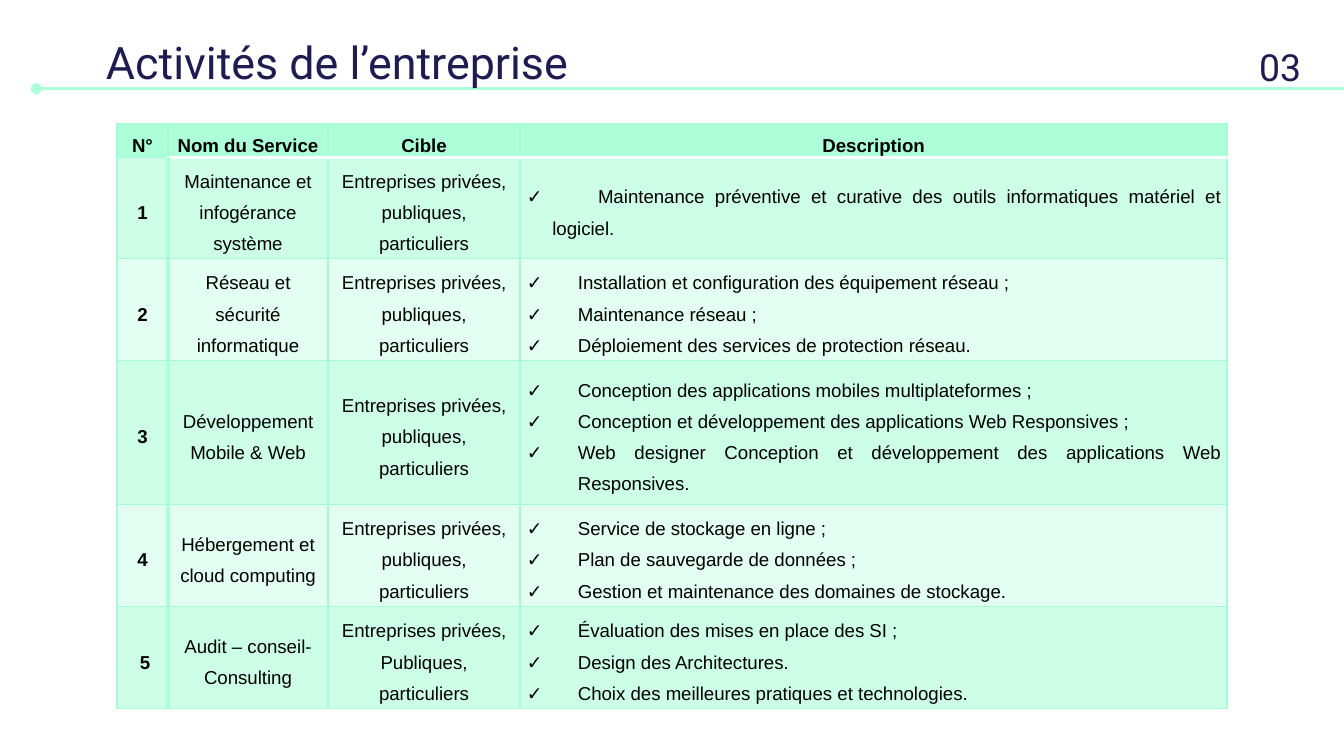
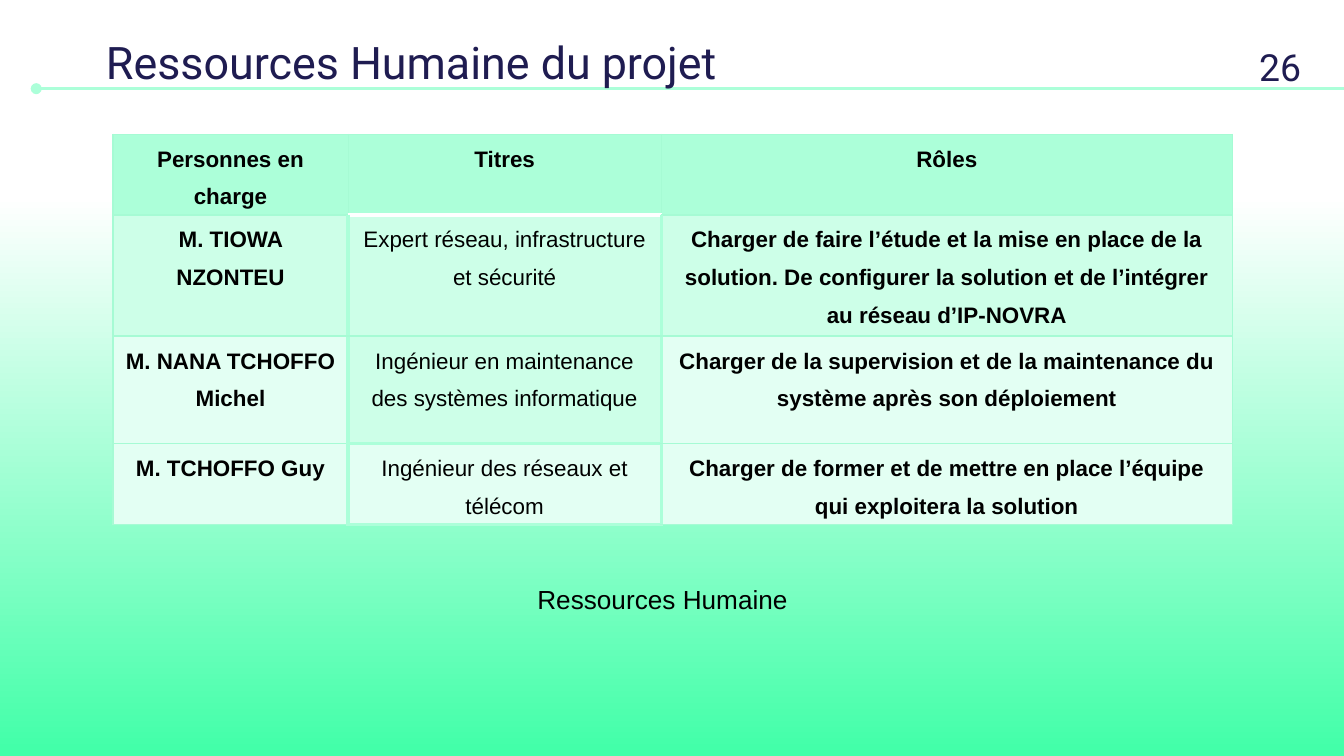
"""Build two slides of service and staff tables in a mint and navy style."""
from lxml import etree
from pptx import Presentation
from pptx.dml.color import RGBColor
from pptx.enum import shapes, text
from pptx.oxml import parse_xml
from pptx.oxml.ns import nsdecls, qn
from pptx.util import Inches, Pt

THEME = {
    "navy": "1F1C51", "black": "000000", "white": "FFFFFF",
    "mint": "ACFFD9", "edge": "A6FBD4", "band": "CDFFE8", "pale": "E3FFF3", "glow": "41FFA8",
    "head_font": "Roboto", "body_font": "Arial",
    "title": 24, "number": 20, "caption": 14, "thin": 0.75, "thick": 2, "rule": 1.5,
}
CENTER, JUSTIFY, LEFT = text.PP_ALIGN.CENTER, text.PP_ALIGN.JUSTIFY, text.PP_ALIGN.LEFT
TOP, MIDDLE, BOTTOM = text.MSO_ANCHOR.TOP, text.MSO_ANCHOR.MIDDLE, text.MSO_ANCHOR.BOTTOM
THICK = (THEME["mint"], THEME["thick"])
WHITE = (THEME["white"], THEME["thick"])
TARGET = "Entreprises privées, publiques, particuliers"

SLIDES = [
    {
        "title": "Activités de l’entreprise", "number": "03",
        "at": (0.87, 0.92), "size": 10, "inset": 0.05, "anchor": MIDDLE,
        "cols": [0.38, 1.19, 1.43, 5.26], "rows": [0.23, 0.75, 0.76, 1.07, 0.76, 0.76],
        "bold_cols": {0}, "pale_cells": {(r, c) for r in (2, 4) for c in range(4)},
        "edges": {**{("v", 1, r): THICK for r in range(1, 6)},
                  **{("h", 1, c): WHITE for c in range(1, 4)}},
        "indents": {(1, 3): 0.19}, "left_cells": {(5, 0): 0.12},
        "cells": [
            ["N°", "Nom du Service", "Cible", "Description"],
            ["1", "Maintenance et infogérance système", TARGET,
             ["\tMaintenance préventive et curative des outils informatiques matériel et logiciel."]],
            ["2", "Réseau et sécurité informatique", TARGET,
             ["Installation et configuration des équipement réseau ;",
              "Maintenance réseau ;",
              "Déploiement des services de protection réseau."]],
            ["3", "Développement Mobile & Web", TARGET,
             ["Conception des applications mobiles multiplateformes ;",
              "Conception et développement des applications Web Responsives ;",
              "Web designer Conception et développement des applications Web Responsives."]],
            ["4", "Hébergement et cloud computing", TARGET,
             ["Service de stockage en ligne ;",
              "Plan de sauvegarde de données ;",
              "Gestion et maintenance des domaines de stockage."]],
            ["5", "Audit – conseil- Consulting", TARGET.replace("publiques", "Publiques"),
             ["Évaluation des mises en place des SI ;",
              "Design des Architectures.",
              "Choix des meilleures pratiques et technologies."]],
        ],
    },
    {
        "title": "Ressources Humaine du projet", "number": "26", "caption": "Ressources Humaine",
        "at": (0.84, 1), "size": 12, "inset": 0.07, "anchor": TOP,
        "cols": [1.75, 2.33, 4.25], "rows": [0.55, 0.8, 0.8, 0.6],
        "bold_cols": {0, 2}, "pale_cells": {(2, 0), (2, 2), (3, 0), (3, 1), (3, 2)},
        "edges": {**{("v", c, r): THICK for c in (1, 2) for r in (1, 2, 3)},
                  ("h", 1, 1): WHITE, ("h", 3, 1): THICK, ("h", 4, 1): THICK},
        "indents": {}, "left_cells": {},
        "cells": [
            ["Personnes en charge", "Titres", "Rôles"],
            ["M. TIOWA NZONTEU", "Expert réseau, infrastructure et sécurité",
             "Charger de faire l’étude et la mise en place de la solution. De configurer "
             "la solution et de l’intégrer au réseau d’IP-NOVRA"],
            ["M. NANA TCHOFFO Michel", "Ingénieur en maintenance des systèmes informatique",
             "Charger de la supervision et de la maintenance du système après son déploiement"],
            ["M. TCHOFFO Guy", "Ingénieur des réseaux et télécom",
             "Charger de former et de mettre en place l’équipe qui exploitera la solution"],
        ],
    },
]


def write(tf, lines, size, color, font, bold=False, **para):
    for i, line in enumerate(lines):
        p = tf.paragraphs[0] if i == 0 else tf.add_paragraph()
        for name, value in para.items():
            setattr(p, name, value)
        r = p.add_run()
        r.text = line
        for name, value in {"name": font, "size": Pt(size), "bold": bold}.items():
            setattr(r.font, name, value)
        r.font.color.rgb = RGBColor.from_string(color)
        end = etree.SubElement(p._p, qn("a:endParaRPr"), sz=str(size * 100))
        etree.SubElement(end, qn("a:latin"), typeface=font)


def label(s, box, line, size, color, font, anchor, inset_y):
    tf = s.shapes.add_textbox(*map(Inches, box)).text_frame
    for name, value in {"word_wrap": True, "vertical_anchor": anchor,
                        "margin_left": Inches(0.1), "margin_right": Inches(0.1),
                        "margin_top": Inches(inset_y), "margin_bottom": Inches(inset_y)}.items():
        setattr(tf, name, value)
    write(tf, [line], size, color, font)


prs = Presentation()
prs.slide_width = Inches(10)
prs.slide_height = prs.slide_width * 9 // 16

for data in SLIDES:
    s = prs.slides.add_slide(prs.slide_layouts[6])
    fill = s.background.fill
    if "caption" in data:
        fill.gradient()
        fill.gradient_angle = 90
        for stop, color, position in zip(fill.gradient_stops, ("glow", "white"), (0, 0.74)):
            stop.color.rgb = RGBColor.from_string(THEME[color])
            stop.position = position
    else:
        fill.solid()
        fill.fore_color.rgb = RGBColor.from_string(THEME["white"])

    rule = s.shapes.add_connector(shapes.MSO_CONNECTOR.STRAIGHT, Inches(0.27), Inches(0.66),
                                  Inches(10.1), Inches(0.66))
    rule.line.color.rgb = RGBColor.from_string(THEME["mint"])
    rule.line.width = Pt(THEME["rule"])
    etree.SubElement(rule.line._get_or_add_ln(), qn("a:headEnd"), type="oval")
    etree.SubElement(rule._element.spPr, qn("a:effectLst"))

    label(s, (0.69, 0.16, 6.65, 0.59), data["title"], THEME["title"], THEME["navy"],
          THEME["head_font"], TOP, 0.1)

    cols, rows = data["cols"], data["rows"]
    table = s.shapes.add_table(len(rows), len(cols), *map(
        Inches, (*data["at"], sum(cols), sum(rows)))).table
    table.first_row = table.horz_banding = False
    for col, width in zip(table.columns, cols):
        col.width = Inches(width)
    for row, height in zip(table.rows, rows):
        row.height = Inches(height)

    for r, line in enumerate(data["cells"]):
        for c, content in enumerate(line):
            cell = table.cell(r, c)
            for name, value in {"margin_left": Inches(data["inset"]),
                                "margin_right": Inches(data["inset"]),
                                "margin_top": 0, "margin_bottom": 0,
                                "vertical_anchor": data["anchor"]}.items():
                setattr(cell, name, value)
            shade = "mint" if r == 0 else "pale" if (r, c) in data["pale_cells"] else "band"
            cell.fill.solid()
            cell.fill.fore_color.rgb = RGBColor.from_string(THEME[shade])

            tc_pr = cell._tc.get_or_add_tcPr()
            sides = {"L": ("v", c, r), "R": ("v", c + 1, r), "T": ("h", r, c), "B": ("h", r + 1, c)}
            for i, (side, key) in enumerate(sides.items()):
                color, width = data["edges"].get(key, (THEME["edge"], THEME["thin"]))
                tc_pr.insert(i, parse_xml(
                    f'<a:ln{side} {nsdecls("a")} w="{Pt(width)}"><a:solidFill>'
                    f'<a:srgbClr val="{color}"/></a:solidFill></a:ln{side}>'))

            listed = isinstance(content, list)
            left = data["left_cells"].get((r, c))
            align = JUSTIFY if listed else CENTER if left is None else LEFT
            tf = cell.text_frame
            write(tf, content if listed else [content], data["size"], THEME["black"],
                  THEME["body_font"], r == 0 or c in data["bold_cols"],
                  alignment=align, line_spacing=1.5, space_after=Pt(0 if listed else 8))
            if listed:
                tf.paragraphs[-1].space_after = Pt(10)
            for p in tf.paragraphs:
                p_pr = p._p.get_or_add_pPr()
                if left is not None:
                    p_pr.set("marL", str(Inches(left)))
                if listed:
                    indent = Inches(data["indents"].get((r, c), 0.38))
                    p_pr.set("marL", str(indent))
                    p_pr.set("indent", str(-indent))
                    bu_clr = etree.SubElement(p_pr, qn("a:buClr"))
                    etree.SubElement(bu_clr, qn("a:srgbClr"), val=THEME["black"])
                    etree.SubElement(p_pr, qn("a:buFont"), typeface=THEME["body_font"])
                    etree.SubElement(p_pr, qn("a:buChar"), char="✓")
                    if (r, c) in data["indents"]:
                        tabs = etree.SubElement(p_pr, qn("a:tabLst"))
                        etree.SubElement(tabs, qn("a:tab"), pos=str(Inches(0.53)), algn="l")

    if "caption" in data:
        label(s, (3.9, 4.29, 2.2, 0.34), data["caption"], THEME["caption"], THEME["black"],
              THEME["body_font"], TOP, 0.05)
    label(s, (9.27, 0.14, 0.55, 0.62), data["number"], THEME["number"], THEME["navy"],
          THEME["head_font"], BOTTOM, 0.1)

prs.save("out.pptx")
